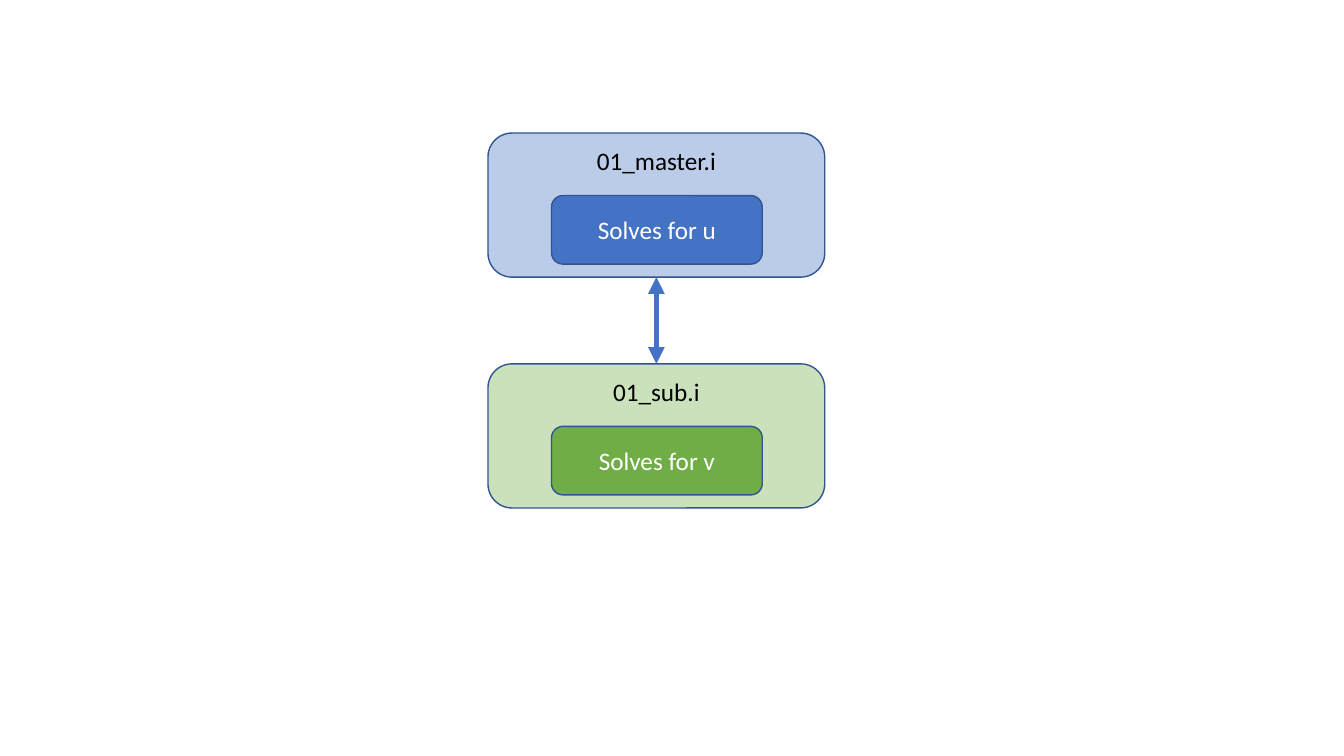
from dataclasses import dataclass

from lxml.etree import SubElement
from pptx import Presentation
from pptx.dml.color import RGBColor
from pptx.enum.shapes import MSO_CONNECTOR, MSO_SHAPE
from pptx.enum.text import MSO_ANCHOR, PP_ALIGN
from pptx.oxml.ns import qn
from pptx.util import Inches, Pt


@dataclass(frozen=True)
class Theme:
    font: str = "Calibri"
    text_size: int = 18
    blue: str = "4472C4"
    green: str = "70AD47"
    outline: str = "325491"
    dark_text: str = "000000"
    light_text: str = "FFFFFF"
    panel_opacity: int = 36
    outline_width: int = 1
    arrow_width: int = 4


THEME = Theme()

# Layout in inches
PANEL_LEFT, PANEL_WIDTH, PANEL_HEIGHT = 4.84, 3.34, 1.43
SOLVER_LEFT, SOLVER_WIDTH, SOLVER_HEIGHT = 5.47, 2.09, 0.68
SOLVER_OFFSET = 0.62
MASTER_TOP, SUB_TOP = 1.32, 3.61


def color(value):
    return RGBColor.from_string(value)


def add_box(slide, box, text, fill, text_color, anchor, opacity=100):
    """Add a rounded box with one centred line of text."""
    shape = slide.shapes.add_shape(
        MSO_SHAPE.ROUNDED_RECTANGLE, *(Inches(length) for length in box))
    shape.shadow.inherit = False
    shape.fill.solid()
    shape.fill.fore_color.rgb = color(fill)
    if opacity < 100:
        fill_color = shape.fill._xPr.find(qn("a:solidFill"))[0]
        SubElement(fill_color, qn("a:alpha"), val=str(opacity * 1000))
    shape.line.color.rgb = color(THEME.outline)
    shape.line.width = Pt(THEME.outline_width)

    text_frame = shape.text_frame
    text_frame.word_wrap = True
    text_frame.vertical_anchor = anchor
    paragraph = text_frame.paragraphs[0]
    paragraph.alignment = PP_ALIGN.CENTER
    run = paragraph.add_run()
    run.text = text
    run.font.name = THEME.font
    run.font.size = Pt(THEME.text_size)
    run.font.color.rgb = color(text_color)


def add_application(slide, top, file_name, task, fill):
    """Add a tinted file panel with its solver inside."""
    add_box(slide, (PANEL_LEFT, top, PANEL_WIDTH, PANEL_HEIGHT), file_name,
            fill, THEME.dark_text, MSO_ANCHOR.TOP, THEME.panel_opacity)
    add_box(slide,
            (SOLVER_LEFT, top + SOLVER_OFFSET, SOLVER_WIDTH, SOLVER_HEIGHT),
            task, fill, THEME.light_text, MSO_ANCHOR.MIDDLE)


def add_double_arrow(slide, x, top, bottom):
    """Add a vertical line with an arrowhead at each end."""
    connector = slide.shapes.add_connector(
        MSO_CONNECTOR.STRAIGHT,
        Inches(x), Inches(top), Inches(x), Inches(bottom))
    connector.line.color.rgb = color(THEME.blue)
    connector.line.width = Pt(THEME.arrow_width)
    line = connector.line._get_or_add_ln()
    for end in ("a:headEnd", "a:tailEnd"):
        SubElement(line, qn(end), type="triangle")
    SubElement(connector._element.spPr, qn("a:effectLst"))


def main():
    presentation = Presentation()
    presentation.slide_width = Inches(13.33)
    presentation.slide_height = Inches(7.5)
    slide = presentation.slides.add_slide(presentation.slide_layouts[6])

    # Master and sub applications
    add_application(slide, MASTER_TOP, "01_master.i", "Solves for u", THEME.blue)
    add_application(slide, SUB_TOP, "01_sub.i", "Solves for v", THEME.green)

    # Two-way exchange between them
    add_double_arrow(slide, PANEL_LEFT + PANEL_WIDTH / 2,
                     MASTER_TOP + PANEL_HEIGHT, SUB_TOP)

    presentation.save("out.pptx")


main()
